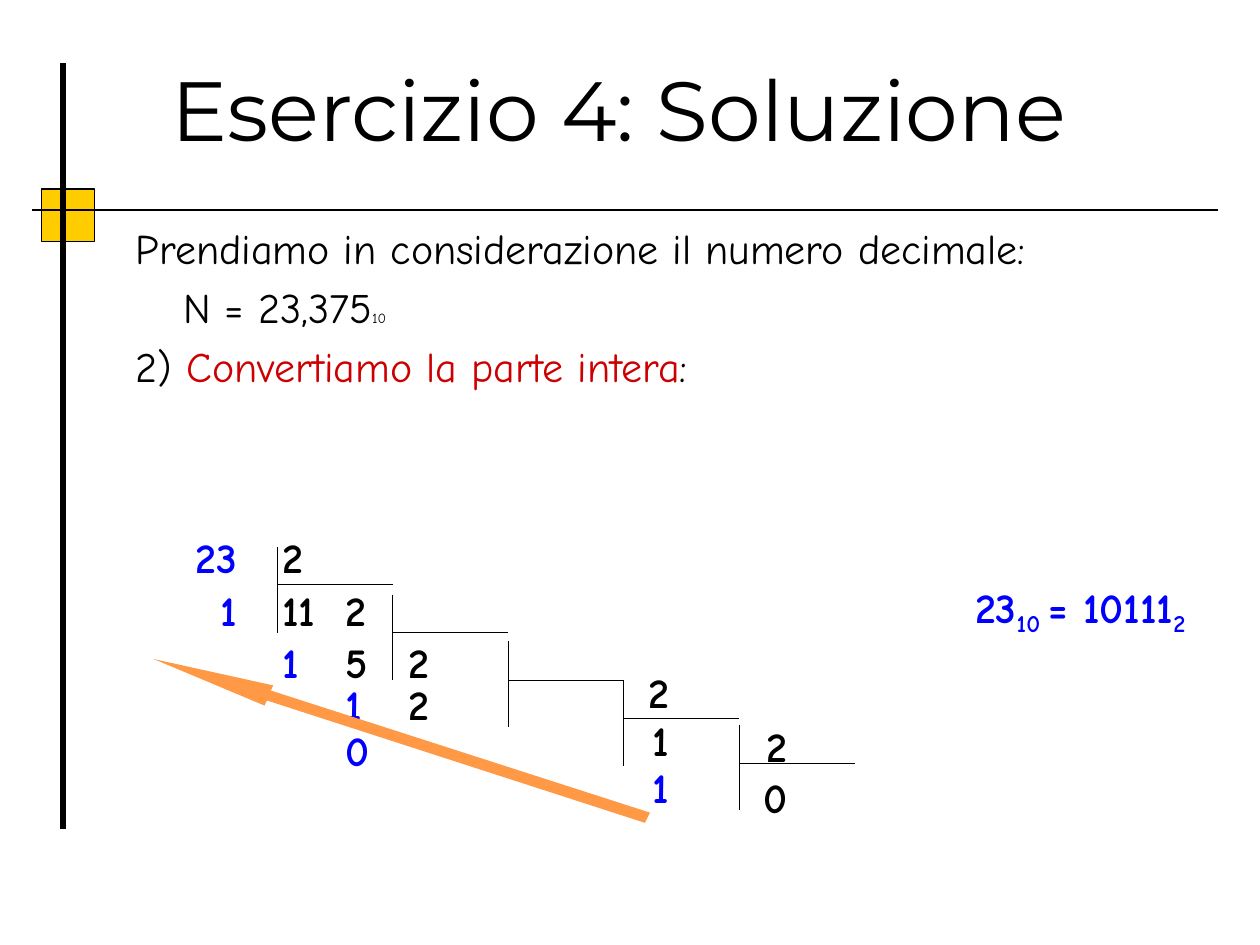
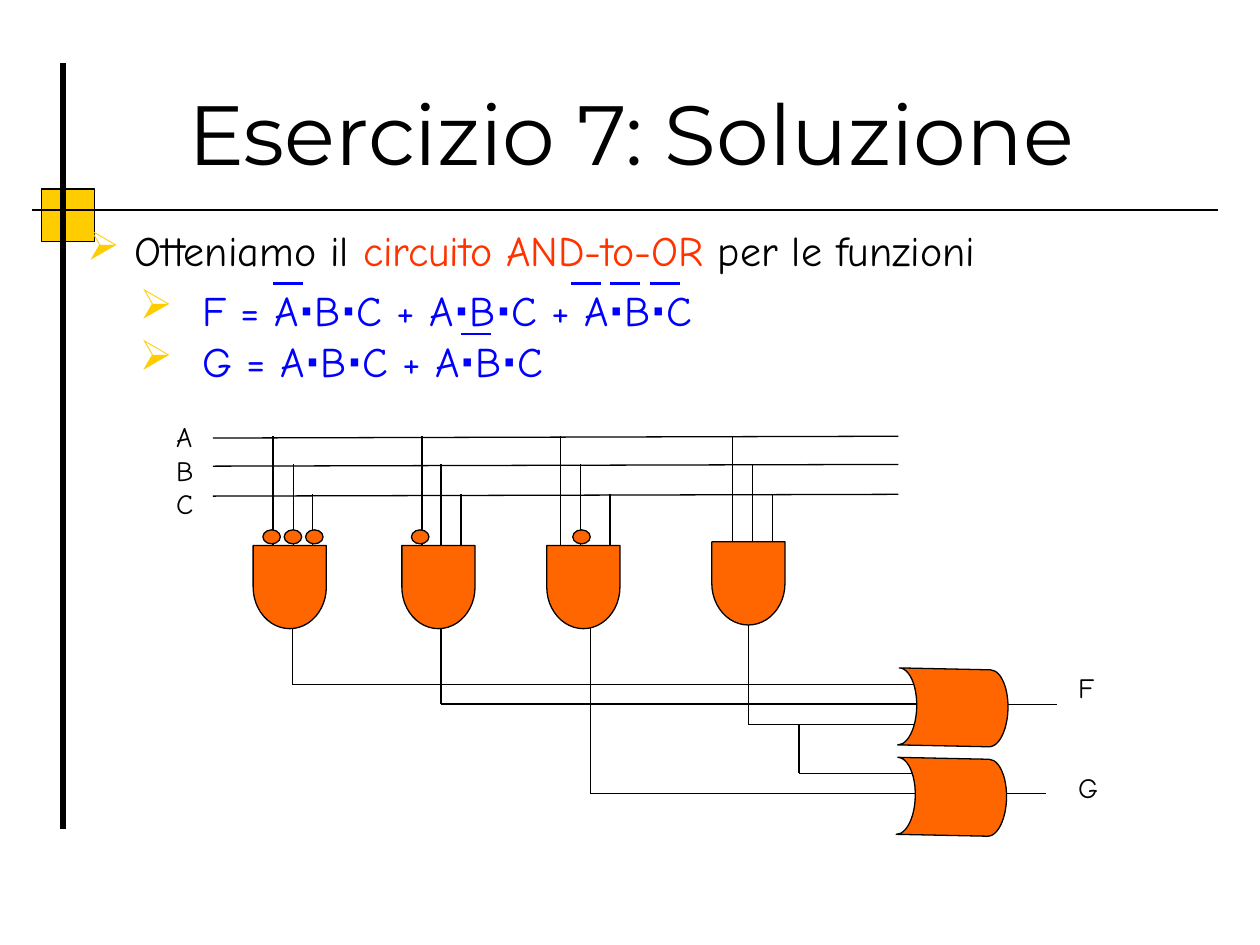
"""Builds two solution slides: a binary conversion and an AND-to-OR circuit."""
from itertools import groupby

from lxml import etree
from pptx import Presentation
from pptx.dml.color import RGBColor
from pptx.enum.shapes import MSO_CONNECTOR, MSO_SHAPE
from pptx.enum.text import MSO_ANCHOR, PP_ALIGN
from pptx.oxml.ns import qn
from pptx.util import Pt

STRAIGHT = MSO_CONNECTOR.STRAIGHT
RECTANGLE, ELLIPSE = MSO_SHAPE.RECTANGLE, MSO_SHAPE.OVAL
AND_GATE, OR_GATE = MSO_SHAPE.FLOWCHART_DELAY, MSO_SHAPE.FLOWCHART_STORED_DATA
LEFT, CENTER, RIGHT = PP_ALIGN.LEFT, PP_ALIGN.CENTER, PP_ALIGN.RIGHT
TOP, BOTTOM = MSO_ANCHOR.TOP, MSO_ANCHOR.BOTTOM

COLORS = {"ink": "000000", "gold": "FFCC00", "crimson": "CC0000", "red": "FF3300",
          "blue": "0000FF", "arrow": "FF9946", "gate": "FF6600"}
TITLE_FONT, BODY_FONT = "Montserrat", "Comic Neue"
DOT = "⋅"


def rgb(name):
    return RGBColor.from_string(COLORS[name])


def para(*runs, **options):
    return runs, options


def formula(text, **options):
    runs = [("".join(part), {"bold": is_dot})
            for is_dot, part in groupby(text, lambda char: char == DOT)]
    return para(*runs, **options)


class Deck:
    def __init__(self):
        self.prs = Presentation()
        self.prs.slide_width, self.prs.slide_height = Pt(720), Pt(540)
        self.slide = None

    def add_slide(self, title, title_box):
        self.slide = self.prs.slides.add_slide(self.prs.slide_layouts[6])
        self.shape(RECTANGLE, (23.8, 108, 30.2, 30.2), "gold")
        self.line(36, 474, 36, 36, width=3)
        self.line(18, 120, 696, 120)
        self.text(title_box, [para(title)], size=48, font=TITLE_FONT,
                  align=CENTER, anchor=BOTTOM)

    def line(self, x1, y1, x2, y2, color="ink", width=0.75):
        line = self.slide.shapes.add_connector(STRAIGHT, Pt(x1), Pt(y1), Pt(x2), Pt(y2))
        line.line.color.rgb = rgb(color)
        line.line.width = Pt(width)
        etree.SubElement(line._element.spPr, qn("a:effectLst"))

    def shape(self, kind, box, fill, rotation=0):
        shape = self.slide.shapes.add_shape(kind, *map(Pt, box))
        shape.rotation = rotation
        shape.shadow.inherit = False
        shape.fill.solid()
        shape.fill.fore_color.rgb = rgb(fill)
        shape.line.color.rgb = rgb("ink")
        shape.line.width = Pt(0.75)

    def polygon(self, points, fill):
        start, *others = [(Pt(x), Pt(y)) for x, y in points]
        builder = self.slide.shapes.build_freeform(*start)
        builder.add_line_segments(others, close=True)
        outline = builder.convert_to_shape()
        outline.shadow.inherit = False
        outline.fill.solid()
        outline.fill.fore_color.rgb = rgb(fill)
        outline.line.fill.background()

    def text(self, box, paragraphs, size=24, color="ink", bold=False, font=BODY_FONT,
             align=LEFT, anchor=TOP, inset=(7.2, 3.6)):
        frame = self.slide.shapes.add_textbox(*map(Pt, box)).text_frame
        frame.word_wrap = True
        frame.vertical_anchor = anchor
        frame.margin_left = frame.margin_right = Pt(inset[0])
        frame.margin_top = frame.margin_bottom = Pt(inset[1])
        for index, (runs, options) in enumerate(paragraphs):
            paragraph = frame.paragraphs[0] if index == 0 else frame.add_paragraph()
            self.layout(paragraph, **options)
            paragraph.alignment = align
            paragraph.font.name = font
            paragraph.font.size = Pt(size)
            paragraph.font.bold = bold
            paragraph.font.color.rgb = rgb(options.get("color", color))
            for run in runs:
                self.run(paragraph, *((run, {}) if isinstance(run, str) else run))

    def layout(self, paragraph, margin=0, indent=0, bullet=None, tabs=(),
               before=0, spacing=None, color=None):
        props = paragraph._p.get_or_add_pPr()
        props.set("marL", str(Pt(margin)))
        props.set("indent", str(Pt(indent)))
        if bullet:
            tint = etree.SubElement(props, qn("a:buClr"))
            etree.SubElement(tint, qn("a:srgbClr"), val=COLORS["gold"])
            etree.SubElement(props, qn("a:buChar"), char=bullet)
        if tabs:
            stops = etree.SubElement(props, qn("a:tabLst"))
            for stop in tabs:
                etree.SubElement(stops, qn("a:tab"), pos=str(Pt(stop)), algn="l")
        if before:
            paragraph.space_before = Pt(before)
        if spacing:
            paragraph.line_spacing = spacing

    def run(self, paragraph, text, style):
        run = paragraph.add_run()
        run.text = text
        if "color" in style:
            run.font.color.rgb = rgb(style["color"])
        if "size" in style:
            run.font.size = Pt(style["size"])
        if "bold" in style:
            run.font.bold = style["bold"]
        if "base" in style:
            run._r.get_or_add_rPr().set("baseline", str(style["base"] * 1000))

    def digits(self, box, paragraphs, color="ink", align=RIGHT):
        self.text(box, paragraphs, color=color, bold=True, align=align, inset=(0, 0))


def conversion_slide(deck):
    deck.add_slide("Esercizio 4: Soluzione ", (48, 46, 624, 48))
    deck.text((70.5, 123.8, 588, 293), [
        para("Prendiamo in considerazione il numero decimale:", margin=27, indent=-27),
        para("N = 23,375", ("10", {"size": 8}), margin=27, before=4.8),
        para("2) ", ("Convertiamo la parte intera", {"color": "crimson"}), ":",
             margin=27, indent=-27, before=4.8)])

    steps = [(312.5, 334), (339.8, 361.4), (366.5, 388.8), (388.8, 410.4), (414, 436.3)]
    for step, (divider_top, bar) in enumerate(steps):
        x = 158.4 + 66 * step
        deck.line(x, divider_top, x, divider_top + 49)
        deck.line(x, bar, x + 66, bar)

    deck.digits((104.4, 303.8, 31, 59), [para("23"), para("1", before=1.2)], "blue")
    blue = {"color": "blue"}
    deck.digits((161.3, 303.8, 317.5, 139.7), [
        para("2"),
        para("11\t2", tabs=[72.7], before=1.2),
        para(("1", blue), "\t5\t2", tabs=[72.7, 144], before=1.2),
        para(("\t1", blue), "\t2", tabs=[61, 72.7], spacing=Pt(24)),
        para("\t0", color="blue", tabs=[121], spacing=Pt(26.4))], align=LEFT)
    deck.digits((365.8, 380.9, 16.6, 85), [
        para("2"), para("1", spacing=Pt(26.4), before=1.2),
        para("1", color="blue", spacing=Pt(26.4))])
    deck.digits((433.4, 411.8, 16.6, 85), [para("2"), para("0")])
    subscript = {"base": -21}
    deck.digits((456.5, 332.6, 221, 28.8), [
        para("23", ("10 ", subscript), "= 10111", ("2", subscript))], "blue")
    deck.polygon([(87.8, 376.6), (151.2, 403.2), (152.6, 400.3), (368.6, 470.2),
                  (371.5, 464.4), (154.8, 394.6), (156.2, 391.7)], "arrow")


def circuit_slide(deck):
    deck.add_slide("Esercizio 7: Soluzione", (31.7, 18, 658, 90))
    deck.text((42.5, 128.2, 646.5, 391), [
        para("Otteniamo il ", ("circuito AND-to-OR", {"color": "red"}),
             " per le funzioni", margin=27, indent=-27, bullet="➢", spacing=0.9)])
    item = {"margin": 72, "indent": -36, "bullet": "➢"}
    deck.text((36.7, 159.1, 680, 65.5), [
        formula("F = A⋅B⋅C + A⋅B⋅C + A⋅B⋅C", **item),
        formula("G = A⋅B⋅C + A⋅B⋅C", **item)], color="blue")
    for x, y in [(156.2, 162), (326.2, 162), (348.8, 162), (371.5, 162), (263.5, 190.8)]:
        deck.line(x, y, x + 17, y, "blue", 1.5)

    input_levels = (250.3, 266.4, 283.5)
    for level in input_levels:
        deck.line(121.7, level, 513.4, level - 1)
    gates = [(141.8, 314.6, (156, 167.8, 178.6), 167, 391),
             (226.8, 314.6, (241.2, 252, 263.5), 252, 402.3),
             (309.6, 314.6, (320.4, 331.9, 348.5), 337.5, 453.6),
             (403.9, 312.5, (418.5, 430, 441.4), 427.9, 414)]
    for x, y, inputs, output, bus in gates:
        for tap, level in zip(inputs, input_levels):
            deck.line(tap, level - 1, tap, 311.5)
        deck.line(output, 357, output, bus)
        deck.line(output, bus, 533, bus)
        deck.shape(AND_GATE, (x, y, 47.5, 41.8), "gate", 90)
    for x in (155.2, 167.4, 179.6, 240.1, 332.3):
        deck.shape(ELLIPSE, (x - 5, 302.8, 10, 8), "gate")

    deck.line(456.5, 414, 456.5, 442)
    deck.line(456.5, 442, 533, 442)
    for x, y, output, output_end in [(513.4, 382.3, 402.5, 604), (512.6, 433.4, 453.6, 598)]:
        deck.line(560, output, output_end, output)
        deck.shape(OR_GATE, (x, y, 62.6, 44), "gate", 181.2)
    deck.text((93.6, 236.2, 28, 85), [para("A"), para("B"), para("C")], size=16)
    deck.text((609, 379.4, 34, 163), [para("F"), para("G", before=38)], size=16)


def main():
    deck = Deck()
    conversion_slide(deck)
    circuit_slide(deck)
    deck.prs.save("out.pptx")


if __name__ == "__main__":
    main()
